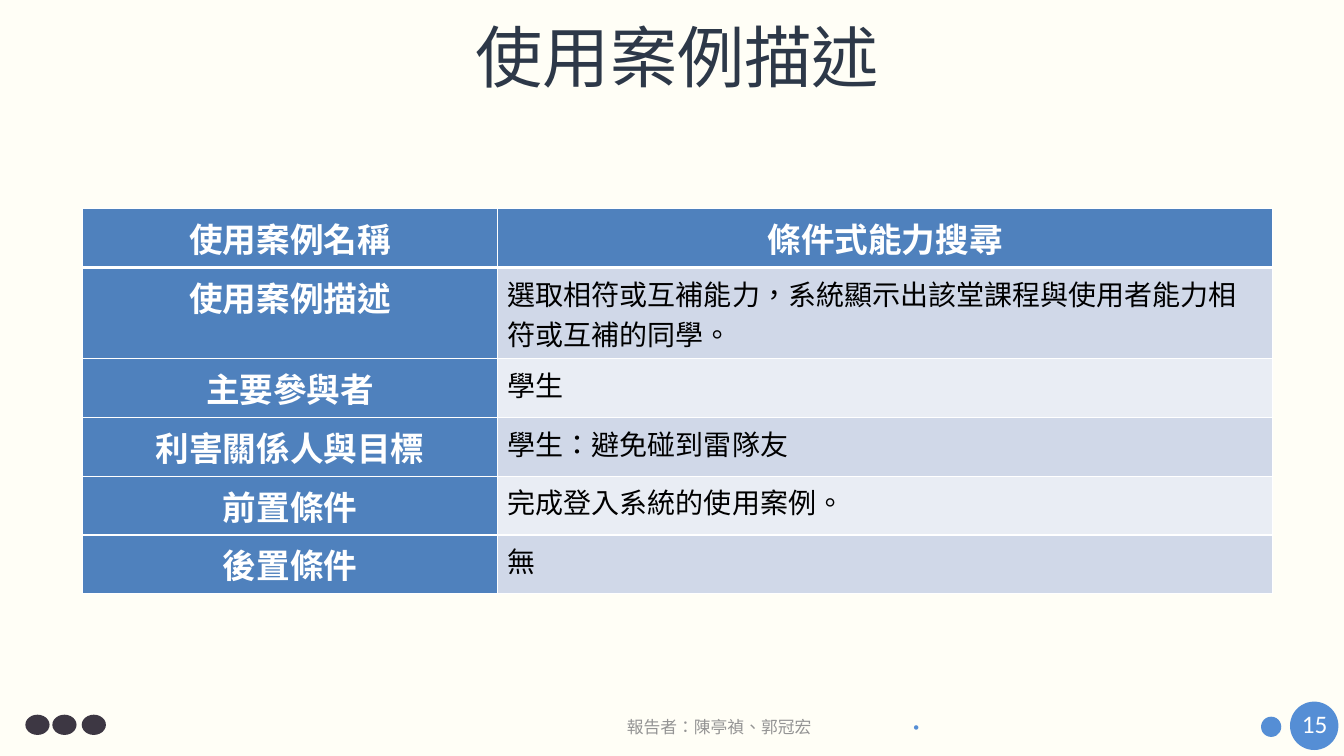
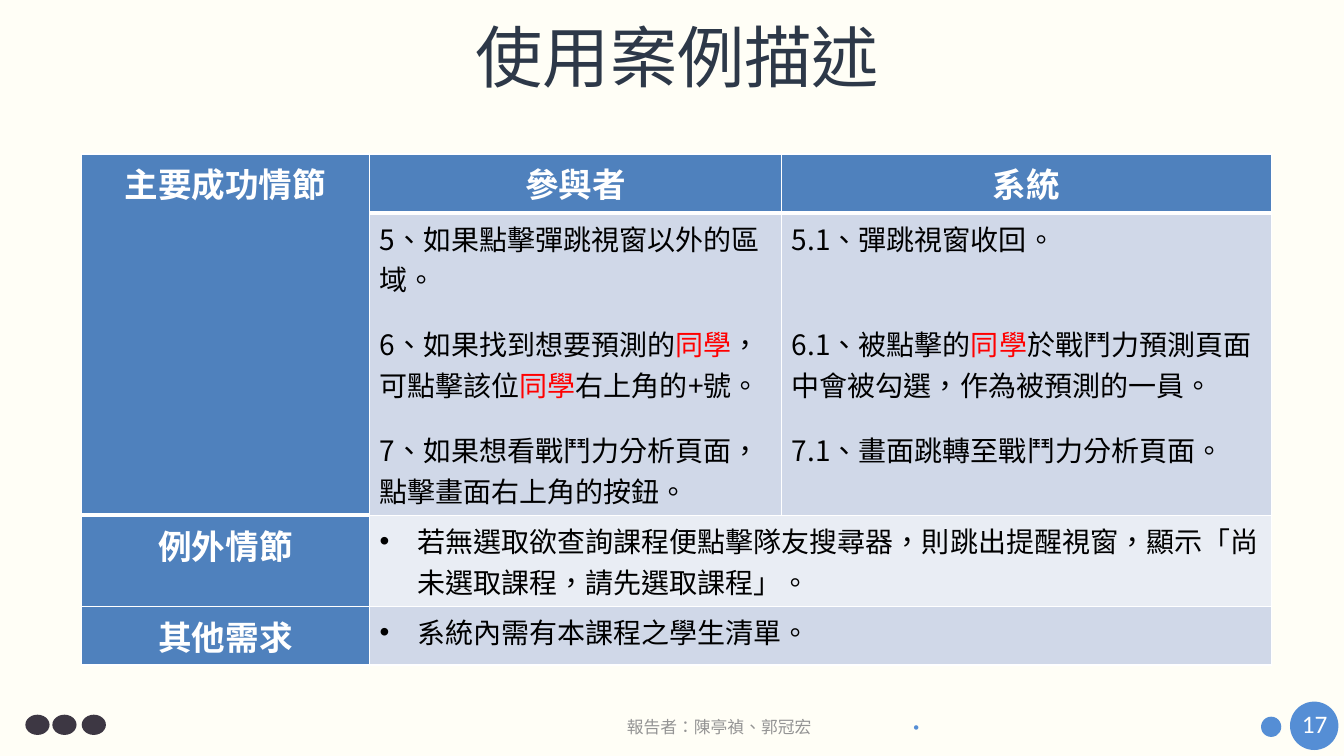
from dataclasses import dataclass

from lxml import etree
from pptx import Presentation
from pptx.dml.color import RGBColor
from pptx.enum.lang import MSO_LANGUAGE_ID
from pptx.enum.shapes import MSO_SHAPE
from pptx.enum.text import MSO_ANCHOR, MSO_AUTO_SIZE, PP_ALIGN
from pptx.oxml.ns import qn
from pptx.util import Cm, Pt

CENTER, LEFT = PP_ALIGN.CENTER, PP_ALIGN.LEFT
TOP = MSO_ANCHOR.TOP
NO_FIT = MSO_AUTO_SIZE.NONE
OVAL = MSO_SHAPE.OVAL
CHINESE = MSO_LANGUAGE_ID.TRADITIONAL_CHINESE


@dataclass(frozen=True)
class Theme:
    cjk: str = "Noto Sans CJK SC"
    latin: str = "Calibri"
    paper: str = "FFFEF6"
    ink: str = "2D3848"
    footer: str = "949494"
    accent: str = "558ED5"
    dots: str = "3D3743"
    header: str = "4F81BD"
    bands: tuple = ("E9EDF4", "D0D8E8")
    white: str = "FFFFFF"
    black: str = "000000"
    red: str = "FF0000"
    title_size: int = 48
    label_size: int = 24
    body_size: int = 20
    number_size: int = 18
    footer_size: int = 12
    bullet_size: int = 9
    thin: int = 1
    thick: int = 3


THEME = Theme()
TITLE = "使用案例描述"
FOOTER = "報告者：陳亭禎、郭冠宏"
STEP_GAP = 17.4
LONG_GAP = 46.3
ONE_LINE, TWO_LINES, STEP_LINES = 1.48, 2.3, 7.62

ACTOR_STEPS = [
    ("5、如果點擊彈跳視窗以外的區域。", 0),
    ("6、如果找到想要預測的|同學|，可點擊該位|同學|右上角的+號。", STEP_GAP),
    ("7、如果想看戰鬥力分析頁面，點擊畫面右上角的按鈕。", STEP_GAP),
]
SYSTEM_STEPS = [
    ("5.1、彈跳視窗收回。", 0),
    ("6.1、被點擊的|同學|於戰鬥力預測頁面中會被勾選，作為被預測的一員。", LONG_GAP),
    ("7.1、畫面跳轉至戰鬥力分析頁面。", STEP_GAP),
]

PAGES = [
    {
        "number": "15",
        "origin": (2.08, 5.26),
        "columns": (10.46, 19.53),
        "heights": (ONE_LINE, TWO_LINES, ONE_LINE, ONE_LINE, ONE_LINE, ONE_LINE),
        "merges": [],
        "bulleted": (),
        "rows": [
            ("使用案例名稱", "條件式能力搜尋"),
            ("使用案例描述", "選取相符或互補能力，系統顯示出該堂課程與使用者能力相符或互補的同學。"),
            ("主要參與者", "學生"),
            ("利害關係人與目標", "學生：避免碰到雷隊友"),
            ("前置條件", "完成登入系統的使用案例。"),
            ("後置條件", "無"),
        ],
    },
    {
        "number": "17",
        "origin": (2.05, 3.88),
        "columns": (7.26, 10.39, 12.34),
        "heights": (ONE_LINE, STEP_LINES, TWO_LINES, ONE_LINE),
        "merges": [((0, 0), (1, 0)), ((2, 1), (2, 2)), ((3, 1), (3, 2))],
        "bulleted": (2, 3),
        "rows": [
            ("主要成功情節", "參與者", "系統"),
            (None, ACTOR_STEPS, SYSTEM_STEPS),
            ("例外情節", "若無選取欲查詢課程便點擊隊友搜尋器，則跳出提醒視窗，顯示「尚未選取課程，請先選取課程」。", None),
            ("其他需求", "系統內需有本課程之學生清單。", None),
        ],
    },
]

CIRCLES = [
    (32.51, 17.68, 1.22, 1.22, THEME.accent),
    (31.78, 18.06, 0.51, 0.51, THEME.accent),
] + [(left, 18.01, 0.61, 0.51, THEME.dots) for left in (0.64, 1.32, 2.06)]


def color(value):
    return RGBColor.from_string(value)


def apply(target, values):
    for name, value in values.items():
        setattr(target, name, value)


def add_span(para, text, size, ink, face=THEME.cjk, bold=False):
    span = para.add_run()
    span.text = text
    apply(span.font, {"size": Pt(size), "bold": bold, "name": face, "language_id": CHINESE})
    span.font.color.rgb = color(ink)
    etree.SubElement(span.font._element, qn("a:ea"), typeface=face)


def add_label(page, bounds, text, align, **style):
    box = page.shapes.add_textbox(*map(Cm, bounds))
    box.text_frame.word_wrap = False
    para = box.text_frame.paragraphs[0]
    para.alignment = align
    add_span(para, text, **style)


def add_title(page):
    title = page.shapes.title
    apply(title, dict(zip(("left", "top", "width", "height"), map(Cm, (5.21, 0.46, 23.72, 2.67)))))
    frame = title.text_frame
    apply(frame, {"word_wrap": True, "auto_size": NO_FIT, "vertical_anchor": TOP})
    apply(frame.paragraphs[0], {"alignment": CENTER, "line_spacing": 0.92})
    add_span(frame.paragraphs[0], TITLE, THEME.title_size, THEME.ink)


def add_furniture(page, number):
    add_label(page, (15.52, 17.93, 5.21, 0.76), FOOTER, CENTER,
              size=THEME.footer_size, ink=THEME.footer)
    add_label(page, (22.76, 17.98, 0.69, 0.64), "•", LEFT,
              size=THEME.bullet_size, ink=THEME.accent, face=THEME.latin)
    for left, top, width, height, fill in CIRCLES:
        circle = page.shapes.add_shape(OVAL, Cm(left), Cm(top), Cm(width), Cm(height))
        circle.shadow.inherit = False
        circle.fill.solid()
        circle.fill.fore_color.rgb = color(fill)
        circle.line.fill.background()
    add_label(page, (32.56, 17.73, 1.17, 1.02), number, LEFT,
              size=THEME.number_size, ink=THEME.white, face=THEME.latin)


def set_borders(cell, top, bottom):
    properties = cell._tc.get_or_add_tcPr()
    widths = {"a:lnL": THEME.thin, "a:lnR": THEME.thin, "a:lnT": top, "a:lnB": bottom}
    for index, (side, width) in enumerate(widths.items()):
        line = etree.Element(qn(side), w=str(Pt(width)))
        fill = etree.SubElement(line, qn("a:solidFill"))
        etree.SubElement(fill, qn("a:srgbClr"), val=THEME.white)
        properties.insert(index, line)


def add_bullet(para):
    properties = para._p.get_or_add_pPr()
    indent = Cm(0.95)
    properties.set("marL", str(indent))
    properties.set("indent", str(-indent))
    etree.SubElement(properties, qn("a:buFont"), typeface="Arial")
    etree.SubElement(properties, qn("a:buChar"), char="•")


def fill_cell(cell, content, heading, bulleted):
    steps = [(content, 0)] if isinstance(content, str) else content
    for index, (text, gap) in enumerate(steps):
        para = cell.text_frame.paragraphs[0] if index == 0 else cell.text_frame.add_paragraph()
        para.alignment = CENTER if heading else LEFT
        if gap:
            para.space_before = Pt(gap)
        if bulleted and not heading:
            add_bullet(para)
        for part, words in enumerate(text.split("|")):
            if heading:
                add_span(para, words, THEME.label_size, THEME.white, bold=True)
            else:
                add_span(para, words, THEME.body_size, THEME.red if part % 2 else THEME.black)


def add_case_table(page, case):
    rows, columns, heights = case["rows"], case["columns"], case["heights"]
    bounds = (*case["origin"], sum(columns), sum(heights))
    table = page.shapes.add_table(len(rows), len(columns), *map(Cm, bounds)).table
    apply(table, {"first_row": False, "horz_banding": False})
    for column, width in zip(table.columns, columns):
        column.width = Cm(width)
    for row, height in zip(table.rows, heights):
        row.height = Cm(height)
    for start, end in case["merges"]:
        table.cell(*start).merge(table.cell(*end))
    for r, row in enumerate(rows):
        for c, content in enumerate(row):
            cell = table.cell(r, c)
            heading = r == 0 or c == 0
            cell.vertical_anchor = TOP
            cell.fill.solid()
            cell.fill.fore_color.rgb = color(THEME.header if heading else THEME.bands[r % 2])
            head_rows = table.cell(0, c).span_height if table.cell(0, c).is_merge_origin else 1
            set_borders(cell,
                        THEME.thick if r == head_rows else THEME.thin,
                        THEME.thick if r == head_rows - 1 else THEME.thin)
            if content:
                fill_cell(cell, content, heading, r in case["bulleted"])


def main():
    deck = Presentation()
    apply(deck, {"slide_width": Cm(33.87), "slide_height": Cm(19.05)})
    background = deck.slide_master.background.fill
    background.solid()
    background.fore_color.rgb = color(THEME.paper)
    title_only = deck.slide_layouts.get_by_name("Title Only")
    for case in PAGES:
        page = deck.slides.add_slide(title_only)
        add_furniture(page, case["number"])
        add_title(page)
        add_case_table(page, case)
    deck.save("out.pptx")


if __name__ == "__main__":
    main()
